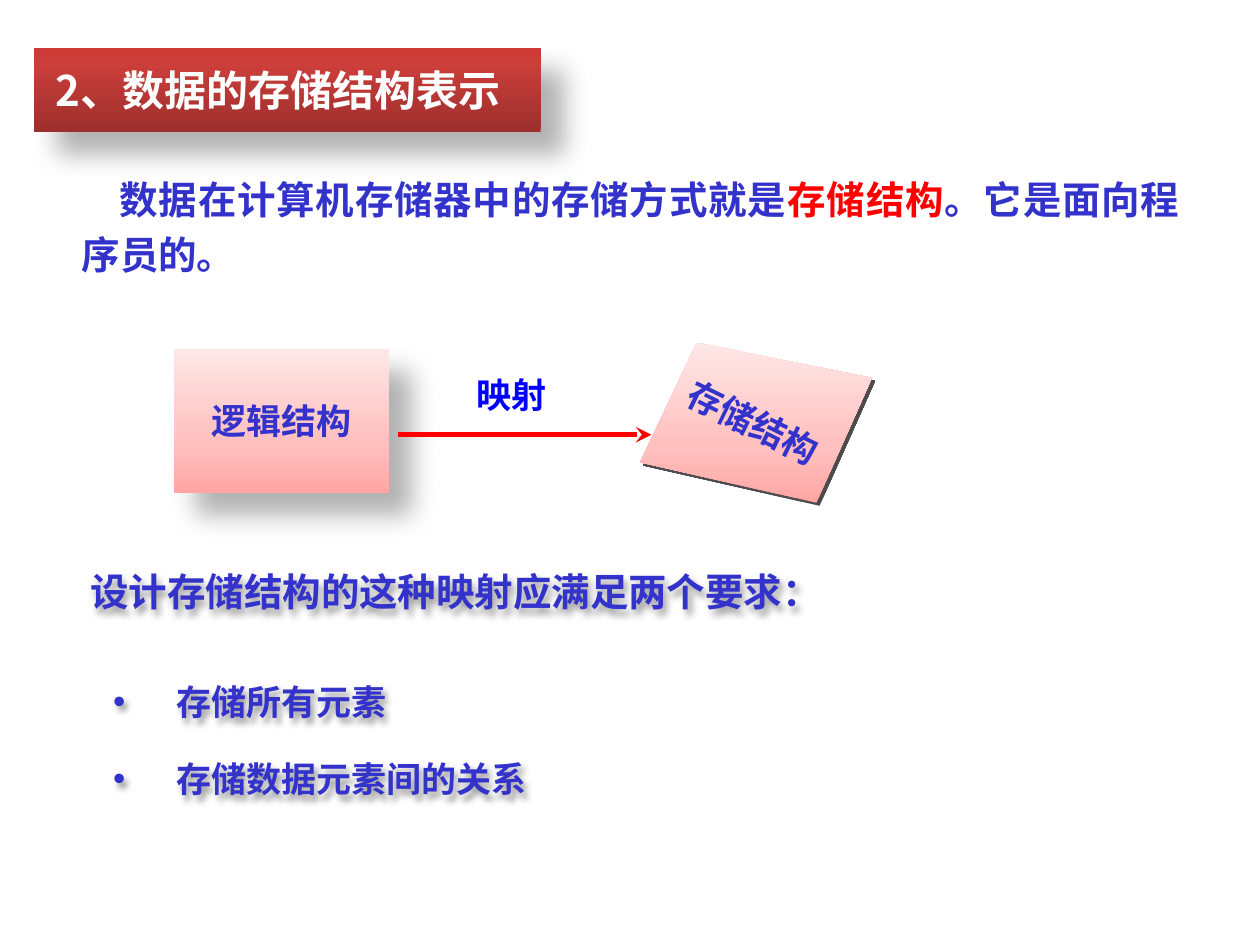
from dataclasses import dataclass

from lxml.etree import SubElement
from pptx import Presentation
from pptx.dml.color import RGBColor
from pptx.enum.shapes import MSO_CONNECTOR, MSO_SHAPE
from pptx.enum.text import MSO_ANCHOR, PP_ALIGN
from pptx.oxml import parse_xml
from pptx.oxml.ns import nsdecls, qn
from pptx.util import Inches, Pt


@dataclass(frozen=True)
class Theme:
    """Colours, type sizes, gradients and shadows of the slide."""
    font: str = "Noto Sans CJK SC"
    white: str = "FFFFFF"
    ink: str = "3333CC"
    red: str = "FF0000"
    blue: str = "0000FF"
    title_size: int = 24
    body_size: int = 22
    label_size: int = 20
    title_gradient: tuple = ((0, "9C2F2D"), (80, "CB3E3A"), (100, "CE3B37"))
    box_gradient: tuple = ((0, "FFA6A5"), (35, "FFC0BF"), (100, "FFE7E7"))
    soft_shadow: tuple = (30, 15, 18, 45)
    edge_shadow: tuple = (70, 0, 2.5, 45)
    text_shadow: tuple = (40, 4, 3, 60)


THEME = Theme()


def apply_format(target, values):
    """Set each named attribute on the target."""
    for name, value in values.items():
        setattr(target, name, value)


def add_shadow(shape, shadow):
    """Give the shape an outer shadow of opacity, blur, distance and angle."""
    opacity, blur, distance, angle = shadow
    shape.shadow.inherit = False
    effects = shape._element.spPr.find(qn("a:effectLst"))
    effects.append(parse_xml(
        f'<a:outerShdw {nsdecls("a")} blurRad="{Pt(blur)}" dist="{Pt(distance)}" '
        f'dir="{angle * 60000}" algn="tl" rotWithShape="0"><a:srgbClr val="000000">'
        f'<a:alpha val="{opacity * 1000}"/></a:srgbClr></a:outerShdw>'))


def fill_gradient(shape, stops):
    """Fill the shape with a gradient that runs from bottom to top."""
    shape.fill.gradient()
    gradient = shape._element.spPr.find(qn("a:gradFill"))
    stop_list = "".join(
        f'<a:gs pos="{position * 1000}"><a:srgbClr val="{color}"/></a:gs>'
        for position, color in stops)
    gradient.getparent().replace(gradient, parse_xml(
        f'<a:gradFill {nsdecls("a")} rotWithShape="1"><a:gsLst>{stop_list}</a:gsLst>'
        f'<a:lin ang="16200000" scaled="0"/></a:gradFill>'))


def add_run(paragraph, text, size, color):
    """Append a bold run in the slide's font."""
    run = paragraph.add_run()
    run.text = text
    apply_format(run.font, {"name": THEME.font, "size": Pt(size), "bold": True})
    run.font.color.rgb = RGBColor.from_string(color)
    SubElement(run._r.get_or_add_rPr(), qn("a:ea"), typeface=THEME.font)


def write_text(shape, runs, size, frame_format=None, paragraph_format=None):
    """Write runs of text and colour into the first paragraph of a shape."""
    apply_format(shape.text_frame, {"word_wrap": True, **(frame_format or {})})
    paragraph = shape.text_frame.paragraphs[0]
    apply_format(paragraph, paragraph_format or {})
    for text, color in runs:
        add_run(paragraph, text, size, color)
    return paragraph


def add_text(slide, area, runs, size, frame_format=None, paragraph_format=None):
    """Add a text box with one paragraph."""
    box = slide.shapes.add_textbox(*map(Inches, area))
    write_text(box, runs, size, frame_format, paragraph_format)
    return box


def add_title(slide, text):
    """Turn the title placeholder into a red banner."""
    title = slide.shapes.title
    apply_format(title, {"left": Inches(0.27), "top": Inches(0.38),
                         "width": Inches(4.02), "height": Inches(0.67)})
    fill_gradient(title, THEME.title_gradient)
    add_shadow(title, THEME.soft_shadow)
    write_text(title, [(text, THEME.white)], THEME.title_size,
               {"vertical_anchor": MSO_ANCHOR.MIDDLE, "margin_left": Inches(0.17)},
               {"alignment": PP_ALIGN.LEFT, "space_before": Pt(0)})


def add_logical_box(slide, text):
    """Add the upright box of the mapping."""
    box = slide.shapes.add_shape(
        MSO_SHAPE.RECTANGLE, *map(Inches, (1.38, 2.77, 1.71, 1.14)))
    fill_gradient(box, THEME.box_gradient)
    box.line.fill.background()
    add_shadow(box, THEME.soft_shadow)
    write_text(box, [(text, THEME.ink)], THEME.label_size,
               {"word_wrap": False, "vertical_anchor": MSO_ANCHOR.MIDDLE},
               {"alignment": PP_ALIGN.CENTER})


def add_storage_box(slide, text):
    """Add the tilted box of the mapping with its slanted label."""
    corners = [(Inches(x), Inches(y))
               for x, y in ((5.53, 2.72), (6.92, 3.0), (6.48, 3.99), (5.08, 3.67))]
    builder = slide.shapes.build_freeform(*corners[0], scale=1.0)
    builder.add_line_segments(corners[1:], close=True)
    box = builder.convert_to_shape()
    fill_gradient(box, THEME.box_gradient)
    box.line.fill.background()
    add_shadow(box, THEME.edge_shadow)
    label = add_text(slide, (5.23, 3.13, 1.5, 0.44), [(text, THEME.ink)],
                     THEME.label_size,
                     {"word_wrap": False, "vertical_anchor": MSO_ANCHOR.MIDDLE},
                     {"alignment": PP_ALIGN.CENTER})
    label.rotation = 26


def add_arrow(slide, start, end):
    """Add a red arrow between two points."""
    arrow = slide.shapes.add_connector(
        MSO_CONNECTOR.STRAIGHT, *map(Inches, (*start, *end)))
    arrow.line.color.rgb = RGBColor.from_string(THEME.red)
    arrow.line.width = Pt(3)
    SubElement(arrow.line._get_or_add_ln(), qn("a:tailEnd"), type="stealth")
    SubElement(arrow._element.spPr, qn("a:effectLst"))


def add_bullets(slide, area, items):
    """Add a bulleted list with shadowed text."""
    box = slide.shapes.add_textbox(*map(Inches, area))
    box.text_frame.word_wrap = True
    for index, item in enumerate(items):
        paragraph = (box.text_frame.add_paragraph() if index
                     else box.text_frame.paragraphs[0])
        apply_format(paragraph, {"line_spacing": Pt(34),
                                 "space_before": Pt(10 if index else 0)})
        properties = paragraph._p.get_or_add_pPr()
        properties.set("marL", str(Inches(0.5)))
        properties.set("indent", str(-Inches(0.5)))
        SubElement(properties, qn("a:buFont"), typeface="Arial")
        SubElement(properties, qn("a:buChar"), char="•")
        add_run(paragraph, item, THEME.label_size, THEME.ink)
    add_shadow(box, THEME.text_shadow)


def add_definition(slide):
    """Add the opening paragraph with its key term in red."""
    box = add_text(slide, (0.55, 1.28, 8.91, 0.97),
                   [("数据在计算机存储器中的存储方式就是", THEME.ink),
                    ("存储结构", THEME.red),
                    ("。它是面向程序员的。", THEME.ink)],
                   THEME.body_size, None,
                   {"alignment": PP_ALIGN.JUSTIFY, "line_spacing": Pt(31.5)})
    properties = box.text_frame.paragraphs[0]._p.get_or_add_pPr()
    properties.set("indent", str(Inches(0.3)))


def main():
    """Build the slide and save it."""
    presentation = Presentation()
    apply_format(presentation, {"slide_width": Inches(10), "slide_height": Inches(7.5)})
    slide = presentation.slides.add_slide(presentation.slide_layouts[5])
    middle = {"vertical_anchor": MSO_ANCHOR.MIDDLE}
    add_title(slide, "2、数据的存储结构表示")
    add_definition(slide)
    add_logical_box(slide, "逻辑结构")
    add_storage_box(slide, "存储结构")
    add_arrow(slide, (3.16, 3.45), (5.17, 3.45))
    add_text(slide, (3.68, 2.91, 0.89, 0.44), [("映射", THEME.blue)],
             THEME.label_size, middle)
    requirement = add_text(slide, (0.62, 4.38, 6.72, 0.63),
                           [("设计存储结构的这种映射应满足两个要求：", THEME.ink)],
                           THEME.body_size, middle)
    add_shadow(requirement, THEME.text_shadow)
    add_bullets(slide, (0.8, 5.21, 6.01, 1.17),
                ["存储所有元素", "存储数据元素间的关系"])
    presentation.save("out.pptx")


if __name__ == "__main__":
    main()
